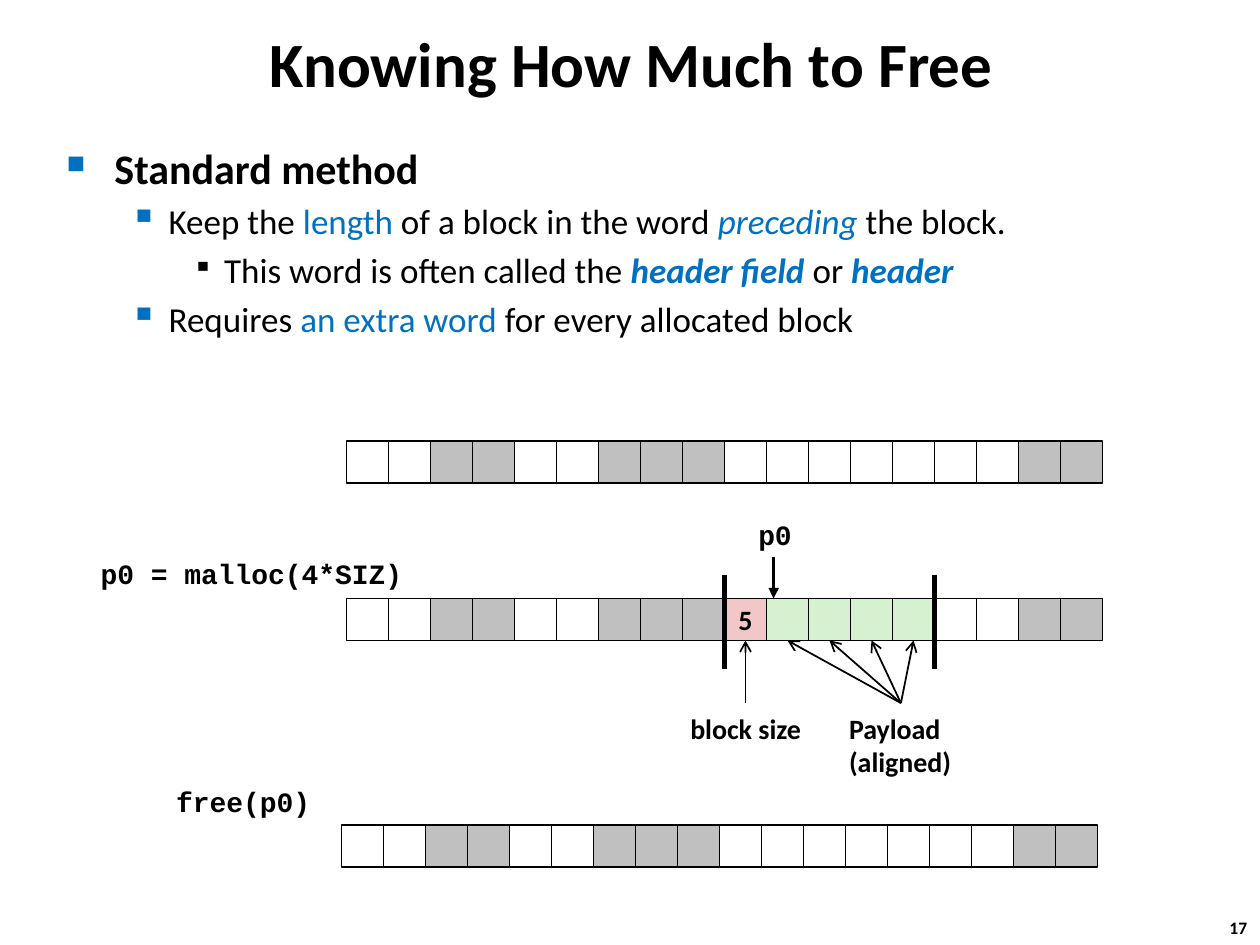
from dataclasses import dataclass

from lxml import etree
from pptx import Presentation
from pptx import util as u
from pptx.dml.color import RGBColor
from pptx.enum import shapes, text
from pptx.oxml import ns


@dataclass(frozen=True)
class Theme:
    """Colours, fonts and type sizes."""

    black: str = "000000"
    accent: str = "0070C0"
    sans: str = "Calibri"
    mono: str = "Courier New"
    title: int = 36
    heading: int = 24
    body: int = 20
    label: int = 16
    number: int = 10


THEME = Theme()
CELL = u.Inches(1 / 3)
FILLS = {".": "FFFFFF", "#": "C0C0C0", "h": "F1C7C7", "p": "D5F1CF"}
FREE_HEAP = "..##..###.......##"
USED_HEAP = "..##..###hpppp..##"
HEAP_LEFT, HEAP_TOP = 8.25, 14.25
HEAP_BOTTOM = HEAP_TOP + 1
HEADER = HEAP_LEFT + USED_HEAP.index("h")
BLOCK_END = HEADER + 5
POINTER_START = 16.74

LEVELS = [
    dict(size=THEME.heading, margin=0.38, hang=0.38, bullet="■", scale=60, color=THEME.accent),
    dict(size=THEME.body, margin=0.81, hang=0.31, bullet="▪", scale=110, color=THEME.accent),
    dict(size=THEME.body, margin=1.25, hang=0.25, bullet="▪", scale=80, color=THEME.black),
]
BULLETS = [
    (0, [("Standard method", "b")]),
    (1, [("Keep the ", ""), ("length", "c"), (" of a block in the word ", ""),
         ("preceding", "ci"), (" the block.", "")]),
    (2, [("This word is often called the ", ""), ("header field ", "cbi"),
         ("or ", ""), ("header", "cbi")]),
    (1, [("Requires ", ""), ("an extra word", "c"), (" for every allocated block", "")]),
]


class SlideBuilder:
    """Draws elements on one slide, measured in grid cells."""

    def __init__(self, slide, theme):
        self.slide = slide
        self.theme = theme

    def grid(self, *cells):
        return [round(cell * CELL) for cell in cells]

    def style(self, run, size, font=None, color=None, bold=True, italic=False):
        run.font.name = font or self.theme.sans
        run.font.size = u.Pt(size)
        run.font.bold = bold
        run.font.italic = italic
        run.font.color.rgb = RGBColor.from_string(color or self.theme.black)

    def label(self, words, box, size=None, font=None, spacing=None, wrap=False,
              align=None, anchor=text.MSO_ANCHOR.TOP):
        frame = self.slide.shapes.add_textbox(*self.grid(*box)).text_frame
        frame.word_wrap = wrap
        frame.vertical_anchor = anchor
        paragraph = frame.paragraphs[0]
        paragraph.text = words
        paragraph.alignment = align
        paragraph.line_spacing = spacing
        for run in paragraph.runs:
            self.style(run, size or self.theme.label, font)

    def bullets(self, items, box):
        frame = self.slide.shapes.add_textbox(*self.grid(*box)).text_frame
        frame.word_wrap = True
        for index, (level, parts) in enumerate(items):
            paragraph = frame.paragraphs[0] if index == 0 else frame.add_paragraph()
            look = LEVELS[level]
            self.bullet(paragraph, look)
            paragraph.level = level
            if index:
                paragraph.space_before = u.Pt(4)
            for words, marks in parts:
                run = paragraph.add_run()
                run.text = words
                color = self.theme.accent if "c" in marks else self.theme.black
                self.style(run, look["size"], color=color, bold="b" in marks, italic="i" in marks)

    def bullet(self, paragraph, look):
        properties = paragraph._p.get_or_add_pPr()
        properties.set("marL", str(u.Inches(look["margin"])))
        properties.set("indent", str(-u.Inches(look["hang"])))
        color = etree.SubElement(properties, ns.qn("a:buClr"))
        etree.SubElement(color, ns.qn("a:srgbClr"), val=look["color"])
        etree.SubElement(properties, ns.qn("a:buSzPct"), val=str(look["scale"] * 1000))
        etree.SubElement(properties, ns.qn("a:buChar"), char=look["bullet"])

    def heap(self, pattern, left, top, header=""):
        group = self.slide.shapes.add_group_shape()
        for column, kind in enumerate(pattern):
            cell = group.shapes.add_shape(
                shapes.MSO_SHAPE.RECTANGLE, *self.grid(left + column, top, 1, 1))
            cell.shadow.inherit = False
            cell.fill.solid()
            cell.fill.fore_color.rgb = RGBColor.from_string(FILLS[kind])
            cell.line.color.rgb = RGBColor.from_string(self.theme.black)
            cell.line.width = u.Pt(1)
            if kind == "h":
                cell.text_frame.text = header
                cell.text_frame.word_wrap = False
                paragraph = cell.text_frame.paragraphs[0]
                paragraph.alignment = text.PP_ALIGN.CENTER
                self.style(paragraph.runs[0], self.theme.label)

    def line(self, start, end, width=1, head=None):
        connector = self.slide.shapes.add_connector(
            shapes.MSO_CONNECTOR.STRAIGHT, *self.grid(*start, *end))
        connector.line.color.rgb = RGBColor.from_string(self.theme.black)
        connector.line.width = u.Pt(width)
        if head:
            etree.SubElement(connector.line._get_or_add_ln(), ns.qn("a:tailEnd"), type=head)
        etree.SubElement(connector._element.spPr, ns.qn("a:effectLst"))


def main():
    presentation = Presentation()
    presentation.slide_width, presentation.slide_height = u.Inches(10), u.Inches(7.5)
    slide = presentation.slides.add_slide(presentation.slide_layouts[6])
    builder = SlideBuilder(slide, THEME)

    builder.label("17", (28.98, 21.69, 1.02, 0.81), THEME.number)
    builder.label("Knowing How Much to Free", (2.58, 0.24, 24.9, 2.49), THEME.title, wrap=True,
                  align=text.PP_ALIGN.CENTER, anchor=text.MSO_ANCHOR.MIDDLE)
    builder.bullets(BULLETS, (1.29, 3.24, 27.45, 17.22))

    builder.heap(FREE_HEAP, HEAP_LEFT, 10.5)
    builder.heap(USED_HEAP, HEAP_LEFT, HEAP_TOP, header="5")
    builder.heap(FREE_HEAP, 8.13, 19.65)

    for words, box in [("p0 = malloc(4*SIZ)", (2.1, 13.17, 7.89, 1.08)),
                       ("p0", (17.76, 12.24, 1.41, 1.05)),
                       ("free(p0)", (3.9, 18.6, 3.84, 1.08))]:
        builder.label(words, box, font=THEME.mono, spacing=0.94)
    for words, box in [("block size", (16.14, 16.83, 3.27, 1.11)),
                       ("Payload\n(aligned)", (19.92, 16.83, 3.06, 1.89))]:
        builder.label(words, box, spacing=0.98)

    for edge in (HEADER, BLOCK_END):
        builder.line((edge, 13.68), (edge, 15.93), width=3)
    builder.line((18.42, 13.26), (18.42, HEAP_TOP), width=2, head="triangle")
    for column in range(5):
        target = HEADER + column + 0.5
        start = 21.45 if column else target
        builder.line((start, POINTER_START), (target, HEAP_BOTTOM), head="arrow")

    presentation.save("out.pptx")


if __name__ == "__main__":
    main()
